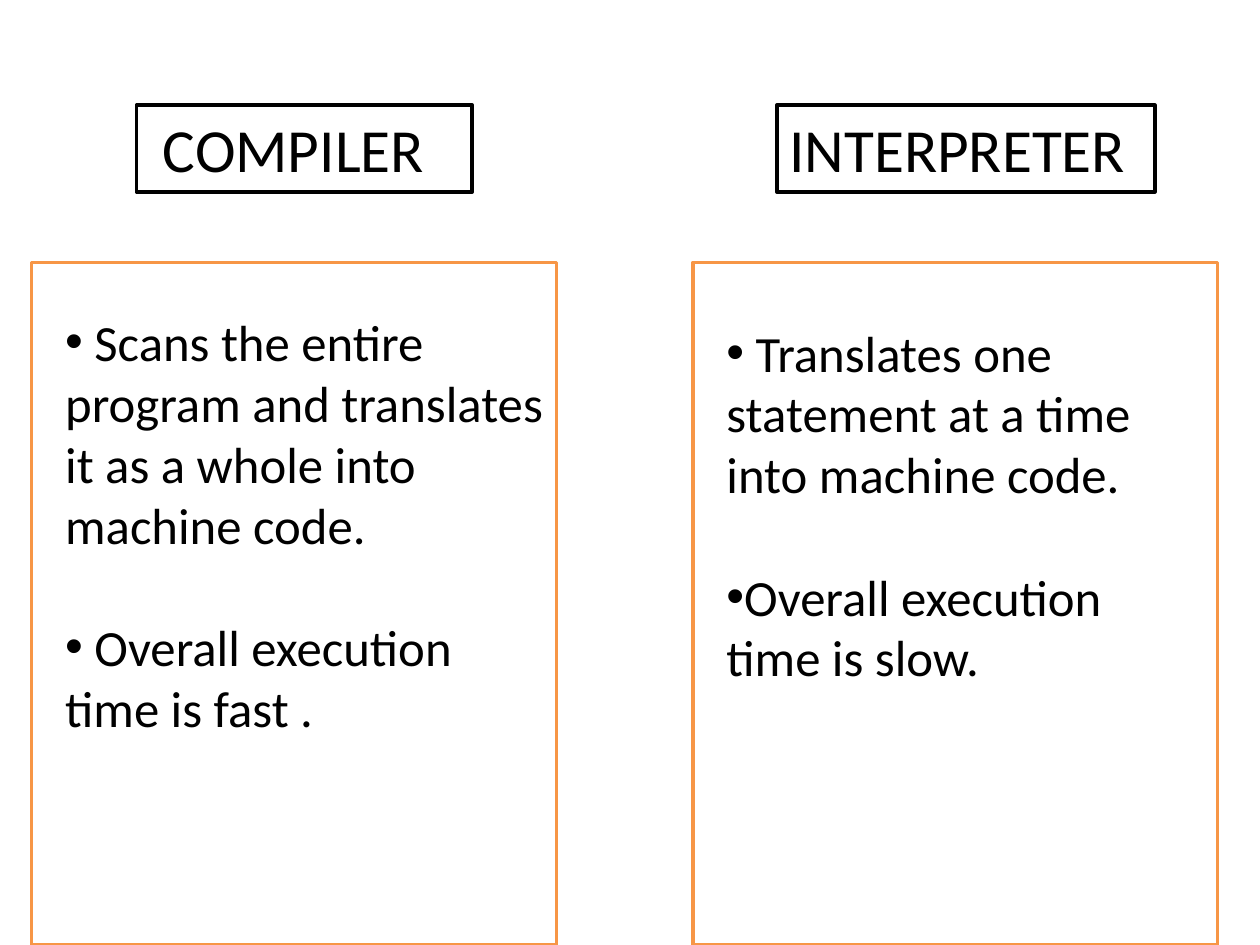
from pptx import Presentation
from pptx.dml.color import RGBColor
from pptx.enum.shapes import MSO_SHAPE
from pptx.enum.text import MSO_ANCHOR, MSO_AUTO_SIZE, PP_ALIGN
from pptx.util import Cm, Pt
from lxml import etree

RECT = MSO_SHAPE.RECTANGLE
TOP = MSO_ANCHOR.TOP
FIXED = MSO_AUTO_SIZE.NONE
LEFT = PP_ALIGN.LEFT

SIDES = [
    {
        "head": " COMPILER",
        "list": [
            " Scans the entire program and translates it as a whole into machine code.",
            " Overall execution time is fast .",
        ],
        "slots": (1, 2),
        "tag": (2.75, 2.12, 6.77, 1.75),
        "frame": (0.64, 5.29, 10.58, 13.76),
        "text": (1.06, 6.14, 10.16, 8.94),
    },
    {
        "head": "INTERPRETER",
        "list": [
            " Translates one statement at a time into machine code.",
            "Overall execution time is slow.",
        ],
        "slots": (3, 4),
        "tag": (15.66, 2.12, 7.62, 1.75),
        "frame": (13.97, 5.29, 10.58, 13.76),
        "text": (14.39, 6.35, 9.95, 7.7),
    },
]

THEME = {
    "ink": RGBColor(0, 0, 0),
    "paper": RGBColor(255, 255, 255),
    "edge": RGBColor(0xF7, 0x96, 0x46),
    "line": Pt(2),
    "gap": Pt(35),
    "head": {"name": "Calibri", "size": Pt(35), "bold": False},
    "body": {"name": "Calibri", "size": Pt(29), "bold": False},
}
BOX = {"word_wrap": True, "auto_size": FIXED, "vertical_anchor": TOP}


def apply(item, vals):
    for key, val in vals.items():
        setattr(item, key, val)


def place(shape, spot):
    apply(shape, dict(zip(("left", "top", "width", "height"), map(Cm, spot))))


def paint(shape, edge):
    shape.fill.solid()
    shape.fill.fore_color.rgb = THEME["paper"]
    shape.line.color.rgb = edge
    shape.line.width = THEME["line"]


def mark(para, char):
    props = para._p.get_or_add_pPr()
    props.set("marL", "0")
    props.set("indent", "0")
    space = props.nsmap["a"]
    if char:
        font = etree.SubElement(props, f"{{{space}}}buFont")
        font.set("typeface", "Arial")
        etree.SubElement(props, f"{{{space}}}buChar").set("char", char)
    else:
        etree.SubElement(props, f"{{{space}}}buNone")


def write(shape, lines, style, char=None):
    frame = shape.text_frame
    apply(frame, BOX)
    for num, line in enumerate(lines):
        para = frame.add_paragraph() if num else frame.paragraphs[0]
        mark(para, char)
        gap = THEME["gap"] if num else Pt(0)
        apply(para, {"alignment": LEFT, "space_before": gap})
        run = para.add_run()
        run.text = line
        apply(run.font, THEME[style])
        run.font.color.rgb = THEME["ink"]


def main():
    deck = Presentation()
    deck.slide_width, deck.slide_height = Cm(25.4), Cm(19.05)
    slide = deck.slides.add_slide(deck.slide_layouts[4])
    title = slide.shapes.title._element
    title.getparent().remove(title)
    slots = {item.placeholder_format.idx: item for item in slide.placeholders}

    for side in SIDES:
        head, body = (slots[num] for num in side["slots"])
        place(head, side["tag"])
        paint(head, THEME["ink"])
        write(head, [side["head"]], "head")

        frame = slide.shapes.add_shape(RECT, *map(Cm, side["frame"]))
        frame.shadow.inherit = False
        paint(frame, THEME["edge"])
        body._element.addprevious(frame._element)

        place(body, side["text"])
        write(body, side["list"], "body", "•")

    deck.save("out.pptx")


if __name__ == "__main__":
    main()
